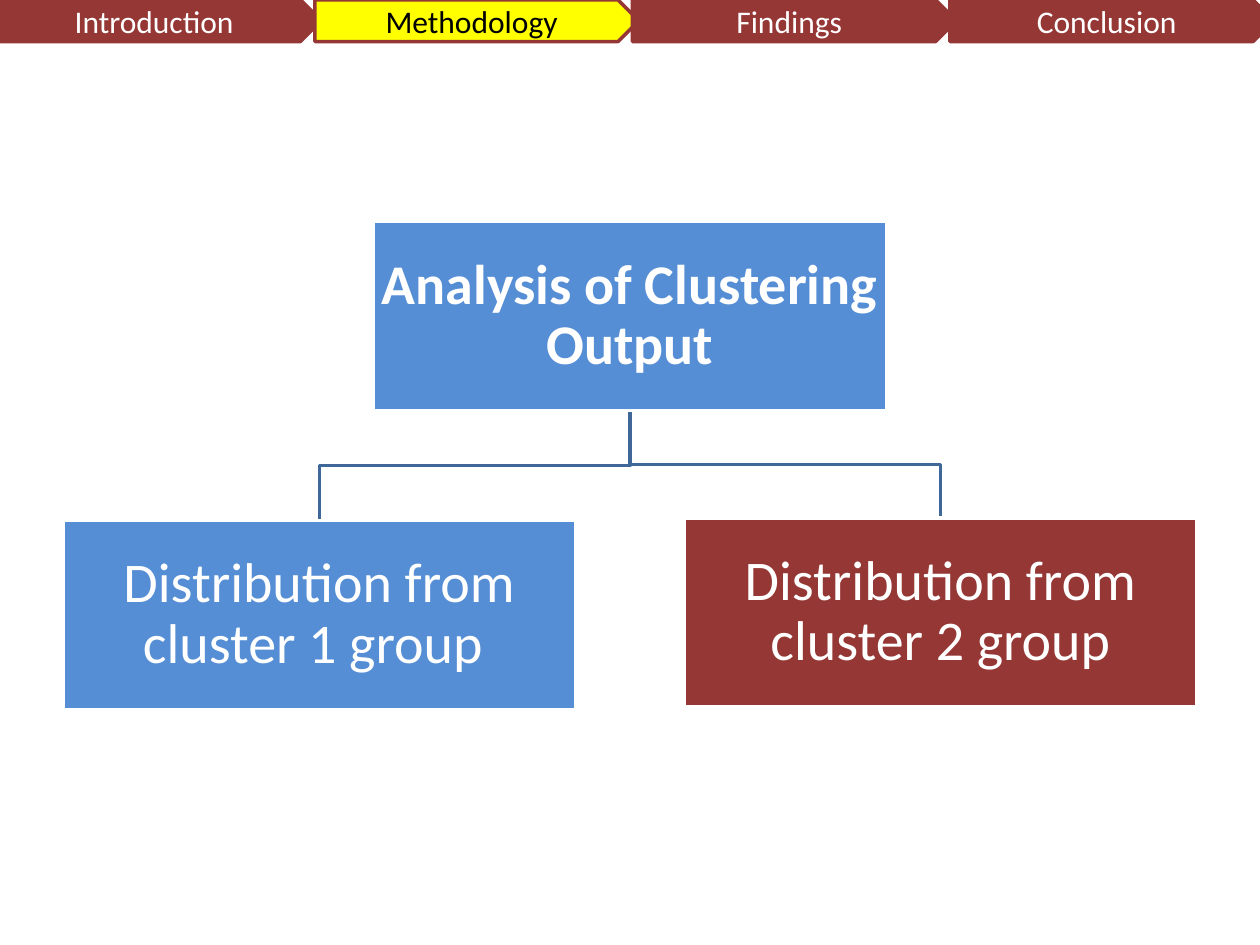
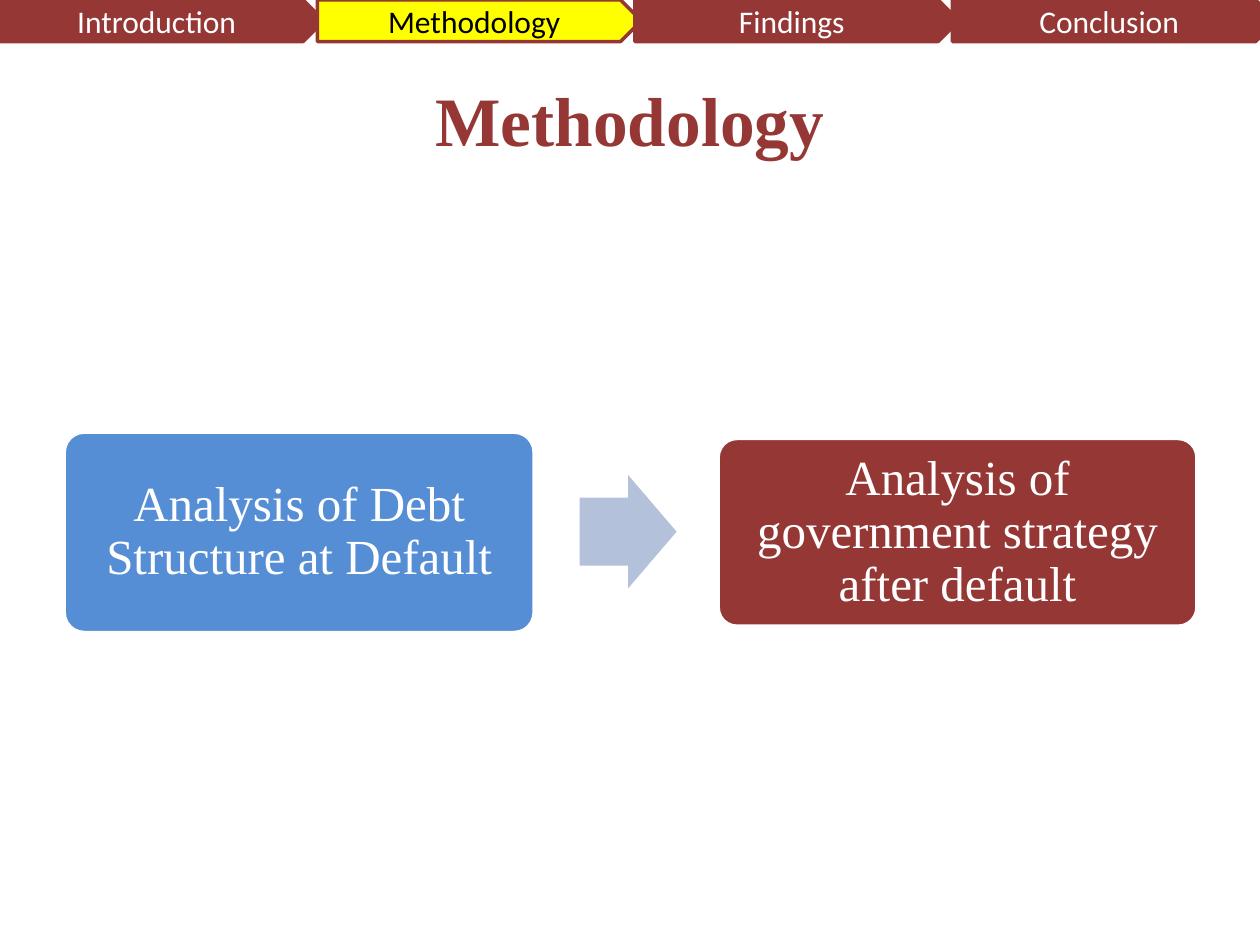
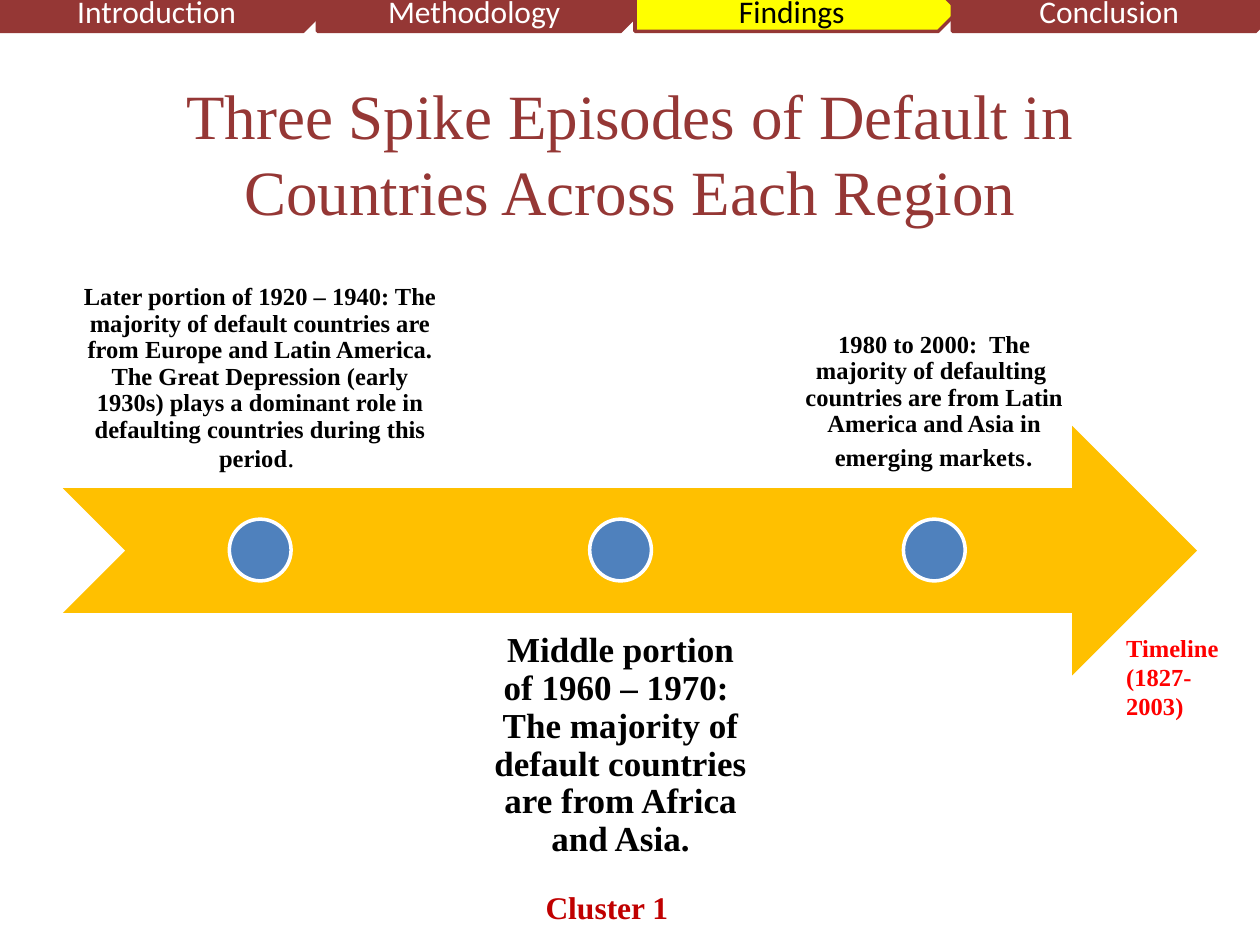
from pptx import Presentation
from pptx.dml.color import RGBColor
from pptx.enum.shapes import MSO_SHAPE as SHAPE
from pptx.enum.text import MSO_ANCHOR as ANCHOR, MSO_AUTO_SIZE as AUTO, PP_ALIGN as ALIGN
from pptx.util import Inches, Pt

W, H = Inches(10), Inches(7.5)
COL, ROW = W // 20, H // 15

COLORS = {
    "white": "FFFFFF", "black": "000000", "maroon": "953735", "blue": "558ED5",
    "navy": "3F6797", "pale": "B3C1DB", "yellow": "FFFF00", "amber": "FFC000",
    "dot": "4F81BD", "red": "FF0000", "crimson": "C00000",
}
SANS, SERIF = "Calibri", "Times New Roman"
SECTIONS = ["Introduction", "Methodology", "Findings", "Conclusion"]
NAV_STEP, NAV_SIZE = 5.04, (5.14, 0.66)
ORG_SIZE = (8.14, 3)


def rgb(name):
    return RGBColor.from_string(COLORS[name])


def place(col, row, cols, rows):
    """Turn grid units into left, top, width and height."""
    return round(col * COL), round(row * ROW), round(cols * COL), round(rows * ROW)


def write(tf, runs, align=ALIGN.CENTER, spacing=1.0, inset=None, **frame):
    """Fill a text frame with one paragraph of (text, size, font, color, bold) runs."""
    if inset is not None:
        for side in ("left", "top", "right", "bottom"):
            setattr(tf, f"margin_{side}", Inches(inset))
    for key, value in {"word_wrap": True, "auto_size": AUTO.NONE, **frame}.items():
        setattr(tf, key, value)
    p = tf.paragraphs[0]
    p.alignment, p.line_spacing = align, spacing
    for text, size, font, color, bold in runs:
        r = p.add_run()
        r.text = text
        for key, value in {"size": Pt(size), "name": font, "bold": bold}.items():
            setattr(r.font, key, value)
        r.font.color.rgb = rgb(color)


def add_block(s, kind, box, fill, line=None, adjust=()):
    sp = s.shapes.add_shape(kind, *place(*box))
    sp.shadow.inherit = False
    sp.fill.solid()
    sp.fill.fore_color.rgb = rgb(fill)
    if line:
        sp.line.color.rgb = rgb(line)
        sp.line.width = Pt(2)
    else:
        sp.line.fill.background()
    for i, value in enumerate(adjust):
        sp.adjustments[i] = value
    return sp


def add_label(s, box, runs, **frame):
    write(s.shapes.add_textbox(*place(*box)).text_frame, runs, **frame)


def add_title(s, text, size, bold):
    sp = s.shapes.title
    sp.left, sp.top, sp.width, sp.height = place(1, 0.6, 18, 2.5)
    write(sp.text_frame, [(text, size, SERIF, "maroon", bold)],
          vertical_anchor=ANCHOR.TOP, margin_top=Inches(0.31))


def add_nav(s, current, col=0, row=0):
    """Draw the section band with the current section highlighted."""
    for i, section in enumerate(SECTIONS):
        fill, ink = ("yellow", "black") if section == current else ("maroon", "white")
        sp = add_block(s, SHAPE.PENTAGON, (col + i * NAV_STEP, row, *NAV_SIZE), fill, "maroon")
        write(sp.text_frame, [(section, 18, SANS, ink, False)], vertical_anchor=ANCHOR.MIDDLE)


def add_org_box(s, col, row, text, fill, bold=False):
    sp = add_block(s, SHAPE.RECTANGLE, (col, row, *ORG_SIZE), fill, "white")
    write(sp.text_frame, [(text, 32, SANS, "white", bold)], spacing=0.9, inset=0.02,
          vertical_anchor=ANCHOR.MIDDLE)


def add_branch(s, start, end):
    """Draw an open elbow that turns halfway down from start to end."""
    (x1, y1), (x2, y2) = start, end
    middle = (y1 + y2) / 2
    first, *rest = [(round(x * COL), round(y * ROW))
                    for x, y in ((x1, y1), (x1, middle), (x2, middle), (x2, y2))]
    builder = s.shapes.build_freeform(*first)
    builder.add_line_segments(rest, close=False)
    sp = builder.convert_to_shape()
    sp.shadow.inherit = False
    sp.fill.background()
    sp.line.color.rgb = rgb("navy")
    sp.line.width = Pt(2)


def add_step(s, box, text, fill):
    sp = add_block(s, SHAPE.ROUNDED_RECTANGLE, box, fill, "white", [0.1])
    write(sp.text_frame, [(text, 28, SERIF, "white", False)], spacing=0.9, inset=0.12,
          vertical_anchor=ANCHOR.MIDDLE)


def build_clustering(prs):
    s = prs.slides.add_slide(prs.slide_layouts[6])
    width, height = ORG_SIZE
    root_top = 3.52
    children = [
        (1, 8.26, "Distribution from cluster 1 group ", "blue"),
        (19 - width, 8.22, "Distribution from cluster 2 group", "maroon"),
    ]
    for col, row, _, _ in reversed(children):
        add_branch(s, (10, root_top + height), (col + width / 2, row))
    add_org_box(s, 10 - width / 2, root_top, "Analysis of Clustering Output", "blue", True)
    for child in children:
        add_org_box(s, *child)
    add_nav(s, "Methodology", col=-0.04)


def build_methodology(prs):
    s = prs.slides.add_slide(prs.slide_layouts[5])
    add_title(s, "Methodology", 39.6, True)
    add_step(s, (1.02, 6.86, 7.46, 3.18), "Analysis of Debt Structure at Default", "blue")
    add_block(s, SHAPE.RIGHT_ARROW, (9.2, 7.54, 1.54, 1.8), "pale", adjust=[0.6, 0.5])
    add_step(s, (11.4, 6.96, 7.6, 2.98), "Analysis of government strategy after default", "maroon")
    add_nav(s, "Methodology")


def build_timeline(prs):
    s = prs.slides.add_slide(prs.slide_layouts[5])
    add_title(s, "Three Spike Episodes of Default in Countries Across Each Region", 36, False)
    add_block(s, SHAPE.NOTCHED_RIGHT_ARROW, (1, 6.76, 18, 3.96), "amber")

    above = {"inset": 0.11, "vertical_anchor": ANCHOR.BOTTOM}
    below = {"inset": 0.16, "vertical_anchor": ANCHOR.TOP}
    episodes = [
        (1.02, 3.78, 6.22, 3.64, above, [
            ("Later portion of 1920 – 1940: The majority of default countries are from Europe "
             "and Latin America. The Great Depression (early 1930s) plays a dominant role in "
             "defaulting countries during this period", 14, SERIF, "black", True),
            (". ", 16, SERIF, "black", False)]),
        (7.48, 9.72, 4.74, 9.36, below, [
            ("Middle portion of 1960 – 1970:  The majority of default countries are from "
             "Africa and Asia.", 20, SERIF, "black", True)]),
        (12.46, 3.78, 4.74, 14.34, above, [
            ("1980 to 2000:  The majority of defaulting  countries are from Latin America "
             "and Asia in emerging markets", 14, SERIF, "black", True),
            (".", 19, SANS, "black", False)]),
    ]
    for col, row, cols, dot_col, frame, runs in episodes:
        add_label(s, (col, row, cols, 3.96), runs, spacing=0.9, **frame)
        add_block(s, SHAPE.OVAL, (dot_col, 8.24, 0.98, 0.98), "dot", "white")

    add_label(s, (17.68, 9.46, 2.32, 1.62), [("Timeline (1827-2003)", 14, SERIF, "red", True)],
              align=ALIGN.LEFT, margin_top=Inches(0.29))
    add_nav(s, "Findings", row=-0.16)
    add_label(s, (7.84, 14, 3, 0.8), [("Cluster 1", 18, SERIF, "crimson", True)],
              align=ALIGN.LEFT, margin_left=Inches(0.41), margin_right=0)


def main():
    prs = Presentation()
    prs.slide_width, prs.slide_height = W, H
    build_clustering(prs)
    build_methodology(prs)
    build_timeline(prs)
    prs.save("out.pptx")


if __name__ == "__main__":
    main()
